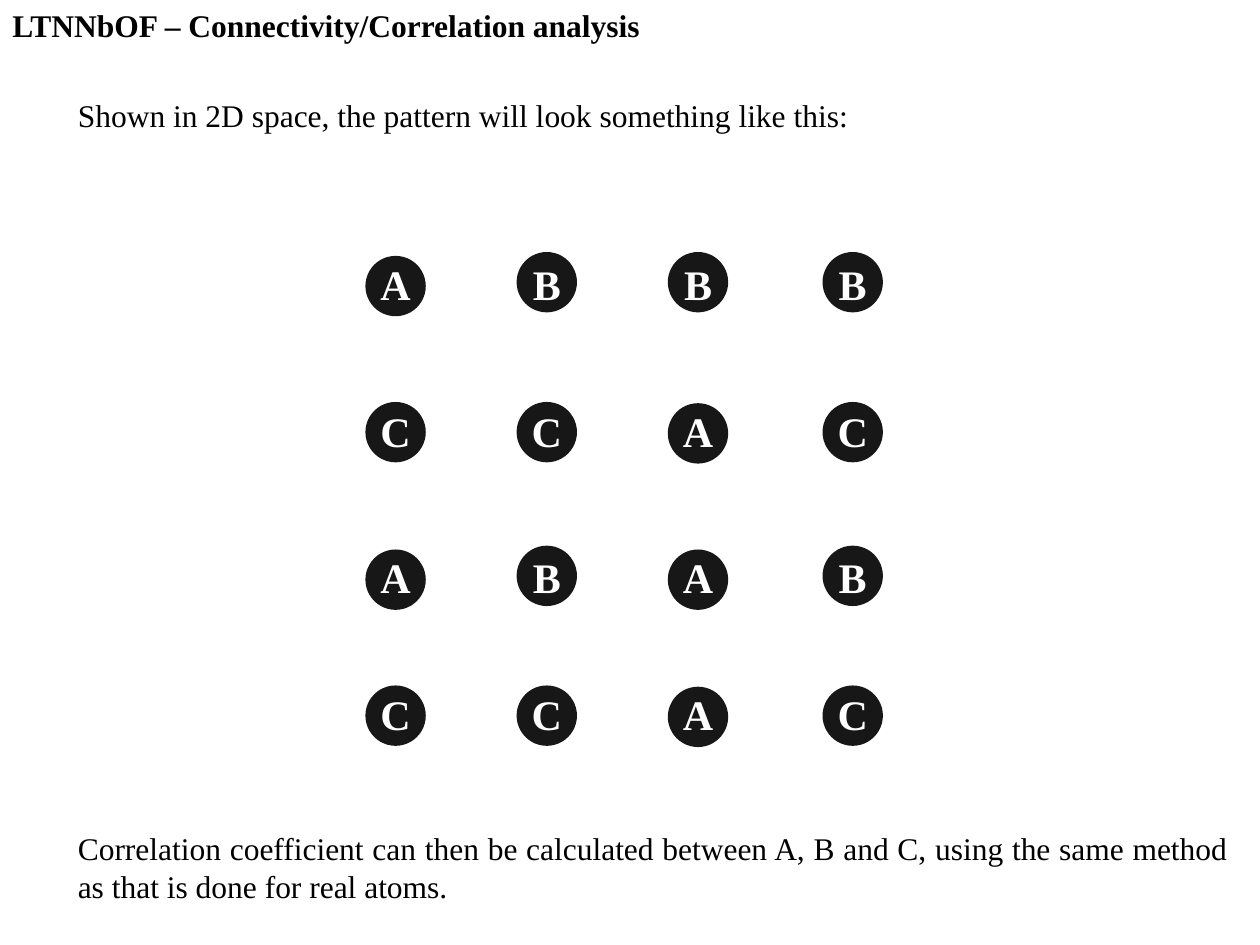
from pptx import Presentation
from pptx.dml.color import RGBColor
from pptx.enum.shapes import MSO_SHAPE as Shape
from pptx.enum.text import MSO_AUTO_SIZE as AutoSize, PP_ALIGN as Align
from pptx.util import Pt

FONT = "Times New Roman"
BLACK, WHITE, ATOM_FILL = "000000", "FFFFFF", "181717"
ATOM_SIZE = 34.5
COLUMNS = [208.8, 295.2, 381.6, 470]
ROWS = [144, 228.2, 311.8, 390.2]
PATTERN = ["ABBB", "CCAC", "ABAB", "CCAC"]
# Each letter's label left offset and circle top offset
OFFSETS = {"A": (1.5, 2.2), "B": (2.2, 0), "C": (1.5, 1.5)}


def color(value):
    return RGBColor.from_string(value)


class SlideBuilder:
    def __init__(self, slide):
        self.slide = slide

    def text(self, text, left, top, width, height, size=18, ink=BLACK,
             bold=False, wrap=False, align=Align.LEFT, grow=True, shapes=None):
        shapes = shapes or self.slide.shapes
        box = shapes.add_textbox(Pt(left), Pt(top), Pt(width), Pt(height))
        frame = box.text_frame
        frame.word_wrap = wrap
        frame.auto_size = AutoSize.SHAPE_TO_FIT_TEXT if grow else AutoSize.NONE
        paragraph = frame.paragraphs[0]
        paragraph.text = text
        paragraph.alignment = align
        formats = {"name": FONT, "size": Pt(size), "bold": bold}
        for name, value in formats.items():
            setattr(paragraph.runs[0].font, name, value)
        paragraph.runs[0].font.color.rgb = color(ink)

    def atom(self, letter, left, top):
        label_shift, circle_shift = OFFSETS[letter]
        group = self.slide.shapes.add_group_shape()
        circle = group.shapes.add_shape(
            Shape.OVAL, Pt(left), Pt(top + circle_shift), Pt(ATOM_SIZE), Pt(ATOM_SIZE))
        circle.shadow.inherit = False
        circle.fill.solid()
        circle.fill.fore_color.rgb = color(ATOM_FILL)
        circle.line.fill.background()
        self.text(letter, left + label_shift, top, 32.4, 40.3, size=24,
                  ink=WHITE, bold=True, grow=False, shapes=group.shapes)


def main():
    presentation = Presentation()
    presentation.slide_width, presentation.slide_height = Pt(720), Pt(540)
    slide = presentation.slides.add_slide(presentation.slide_layouts[6])
    builder = SlideBuilder(slide)

    # Title and introduction
    builder.text("LTNNbOF – Connectivity/Correlation analysis",
                 0, 0, 376.6, 29, bold=True)
    builder.text("Shown in 2D space, the pattern will look something like this:",
                 37.4, 51.2, 459.4, 29)

    # Grid of lettered atoms
    for top, letters in zip(ROWS, PATTERN):
        for left, letter in zip(COLUMNS, letters):
            builder.atom(letter, left, top)

    # Conclusion
    builder.text("Correlation coefficient can then be calculated between A, B and C, "
                 "using the same method as that is done for real atoms.",
                 37.4, 470.2, 671.8, 51, wrap=True, align=Align.JUSTIFY)

    presentation.save("out.pptx")


if __name__ == "__main__":
    main()
